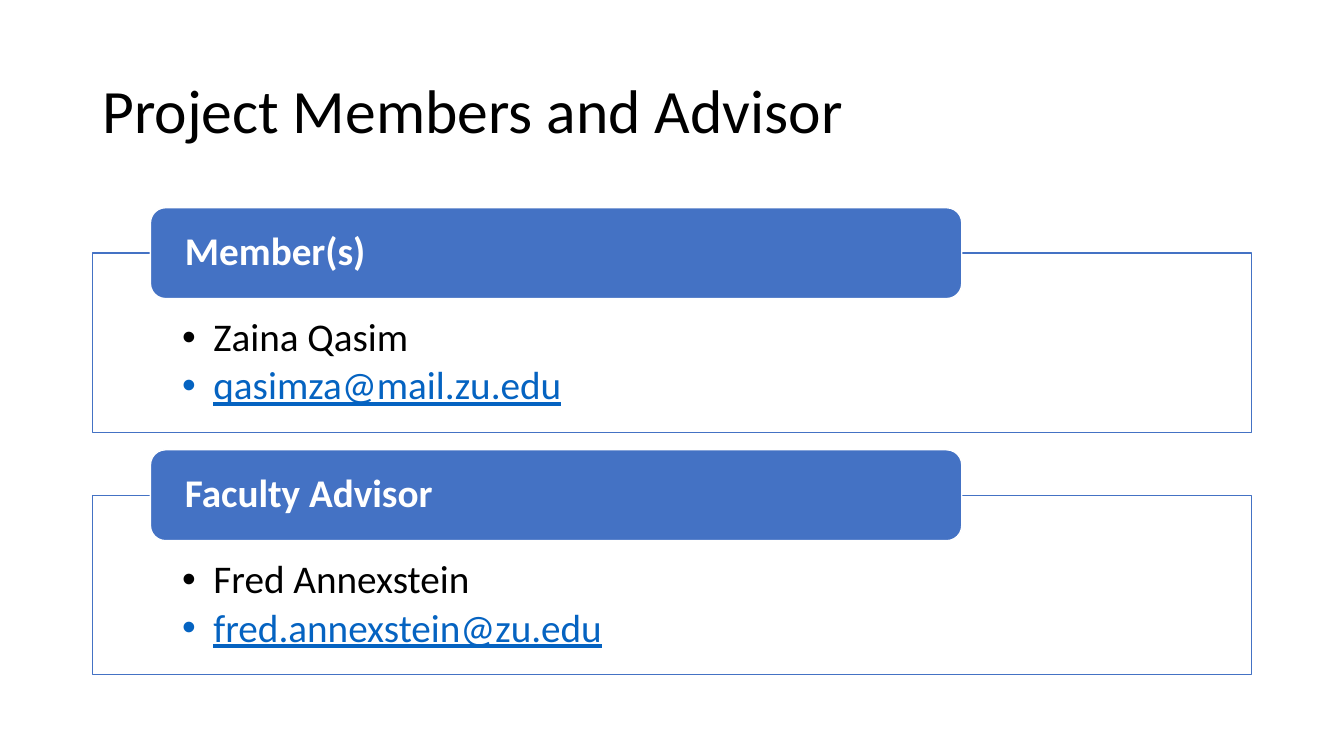
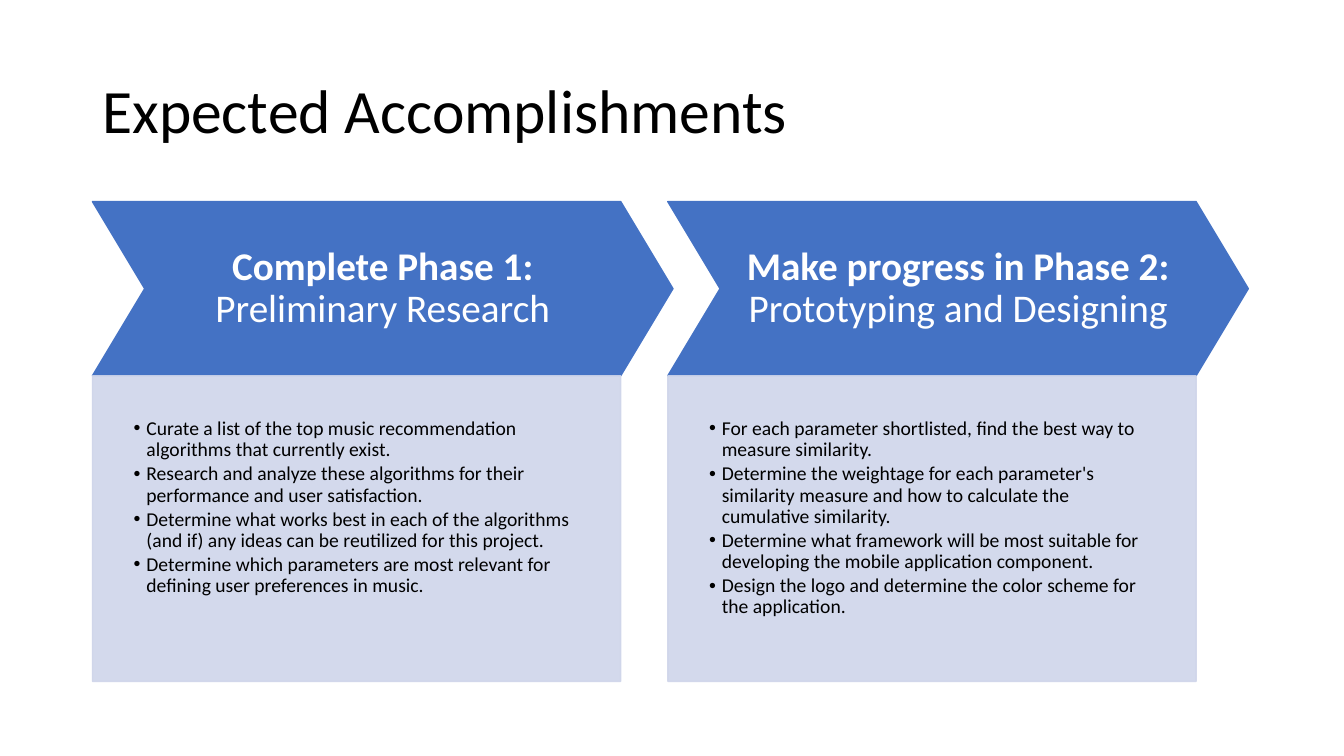
import pptx
import pptx.util
import pptx.dml.color
import pptx.enum.shapes
import pptx.enum.text
import pptx.oxml
import pptx.oxml.ns

Cm, Pt = pptx.util.Cm, pptx.util.Pt
RGB = pptx.dml.color.RGBColor
KIND = pptx.enum.shapes.MSO_SHAPE
ALIGN = pptx.enum.text.PP_ALIGN
ANCHOR = pptx.enum.text.MSO_ANCHOR
qn = pptx.oxml.ns.qn

# Shared style
BLUE = RGB(0x44, 0x72, 0xC4)
PALE = RGB(0xCF, 0xD5, 0xEA)
LINK = RGB(0x05, 0x63, 0xC1)
WHITE = RGB(0xFF, 0xFF, 0xFF)
BLACK = RGB(0x00, 0x00, 0x00)
FONT = "Calibri"
LEFT, WIDTH = 2.33, 29.21


def write(frame, text, size=28, color=BLACK, bold=False, under=False,
          align=ALIGN.LEFT, after=0, hang=0, join=False):
    """Add a paragraph, or join a run to the last one; hang (cm) adds a bullet."""
    para = frame.paragraphs[-1]
    if para.runs and not join:
        para = frame.add_paragraph()
    run = para.add_run()
    run.text = text
    font = run.font
    font.name, font.size, font.bold, font.underline = FONT, Pt(size), bold, under
    font.color.rgb = color
    para.alignment = align
    para.line_spacing = 0.9
    para.space_after = Pt(after)
    if hang:
        props = para._p.get_or_add_pPr()
        props.set("marL", str(Cm(hang)))
        props.set("indent", str(-Cm(hang)))
        for tag, name, value in (("a:buFont", "typeface", "Arial"),
                                 ("a:buChar", "char", "•")):
            mark = pptx.oxml.parse_xml(f"<{tag} {pptx.oxml.ns.nsdecls('a')}/>")
            mark.set(name, value)
            props.append(mark)


class Deck:
    def __init__(self):
        self.file = pptx.Presentation()
        self.file.slide_width = Cm(33.87)
        self.file.slide_height = Cm(19.05)
        self.slide = None

    def page(self, title):
        self.slide = self.file.slides.add_slide(self.file.slide_layouts[6])
        box = self.slide.shapes.add_textbox(Cm(LEFT), Cm(1.01), Cm(WIDTH), Cm(3.68))
        self.frame(box, (0.25, 0.13, 0.25, 0.13), ANCHOR.MIDDLE)
        write(box.text_frame, title, size=44)

    def frame(self, shape, pads, anchor):
        frame = shape.text_frame
        frame.word_wrap = True
        frame.vertical_anchor = anchor
        (frame.margin_left, frame.margin_top,
         frame.margin_right, frame.margin_bottom) = map(Cm, pads)

    def shape(self, kind, area, fill, line, pads, anchor=ANCHOR.MIDDLE, alpha=100):
        shape = self.slide.shapes.add_shape(kind, *map(Cm, area))
        shape.shadow.inherit = False
        shape.fill.solid()
        shape.fill.fore_color.rgb = fill
        shape.line.color.rgb = line
        shape.line.width = Pt(1)
        if alpha < 100:
            for tint in shape._element.spPr.iter(qn("a:srgbClr")):
                tint.append(pptx.oxml.parse_xml(
                    f'<a:alpha {pptx.oxml.ns.nsdecls("a")} val="{alpha * 1000}"/>'))
        self.frame(shape, pads, anchor)
        return shape

    def panel(self, top, label, name, mail):
        """Outlined panel with a label sitting on its top edge."""
        tall = 2.29
        body = self.shape(KIND.RECTANGLE, (LEFT, top, WIDTH, 4.52), WHITE, BLUE,
                          (2.26, 1.63, 2.26, 0.56), ANCHOR.TOP)
        write(body.text_frame, name, after=4.2, hang=0.79)
        write(body.text_frame, mail, color=LINK, under=True, after=4.2, hang=0.79)
        head = self.shape(KIND.ROUNDED_RECTANGLE,
                          (LEFT + 0.05 * WIDTH, top - tall / 2, 0.7 * WIDTH, tall),
                          WHITE, WHITE, (0.76, 0, 0.76, 0))
        head.fill.fore_color.rgb = BLUE
        write(head.text_frame, label, color=WHITE, bold=True)

    def phase(self, left, lead, rest, goals):
        """Chevron heading over a box of goals."""
        top, wide, tall, tip = 5.08, 14.63, 4.39, 0.3
        head = self.shape(KIND.CHEVRON, (left, top, wide, tall), BLUE, BLUE, (0.53,) * 4)
        head.adjustments[0] = tip
        write(head.text_frame, lead, color=WHITE, bold=True, align=ALIGN.CENTER)
        write(head.text_frame, rest, color=WHITE, align=ALIGN.CENTER, join=True)
        body = self.shape(KIND.RECTANGLE, (left, top + tall, wide - tip * tall, 7.7),
                          PALE, PALE, (1.04, 1.08, 1.04, 2.11), ANCHOR.TOP, alpha=90)
        for goal in goals:
            write(body.text_frame, goal, size=14, after=2.1, hang=0.32)


def main():
    deck = Deck()

    # People
    deck.page("Project Members and Advisor")
    people = (
        ("Member(s)", "Zaina Qasim", "qasimza@mail.zu.edu"),
        ("Faculty Advisor", "Fred Annexstein", "fred.annexstein@zu.edu"),
    )
    for i, person in enumerate(people):
        deck.panel(6.38 + 6.1 * i, *person)

    # Phases
    deck.page("Expected Accomplishments")
    phases = (
        ("Complete Phase 1: ", "Preliminary Research", (
            "Curate a list of the top music recommendation algorithms that currently exist.",
            "Research and analyze these algorithms for their performance and user satisfaction.",
            "Determine what works best in each of the algorithms (and if) any ideas can be "
            "reutilized for this project.",
            "Determine which parameters are most relevant for defining user preferences "
            "in music.")),
        ("Make progress in Phase 2: ", "Prototyping and Designing", (
            "For each parameter shortlisted, find the best way to measure similarity.",
            "Determine the weightage for each parameter's similarity measure and how to "
            "calculate the cumulative similarity.",
            "Determine what framework will be most suitable for developing the mobile "
            "application component.",
            "Design the logo and determine the color scheme for the application.")),
    )
    for i, phase in enumerate(phases):
        deck.phase(LEFT + 14.5 * i, *phase)

    deck.file.save("out.pptx")


if __name__ == "__main__":
    main()
